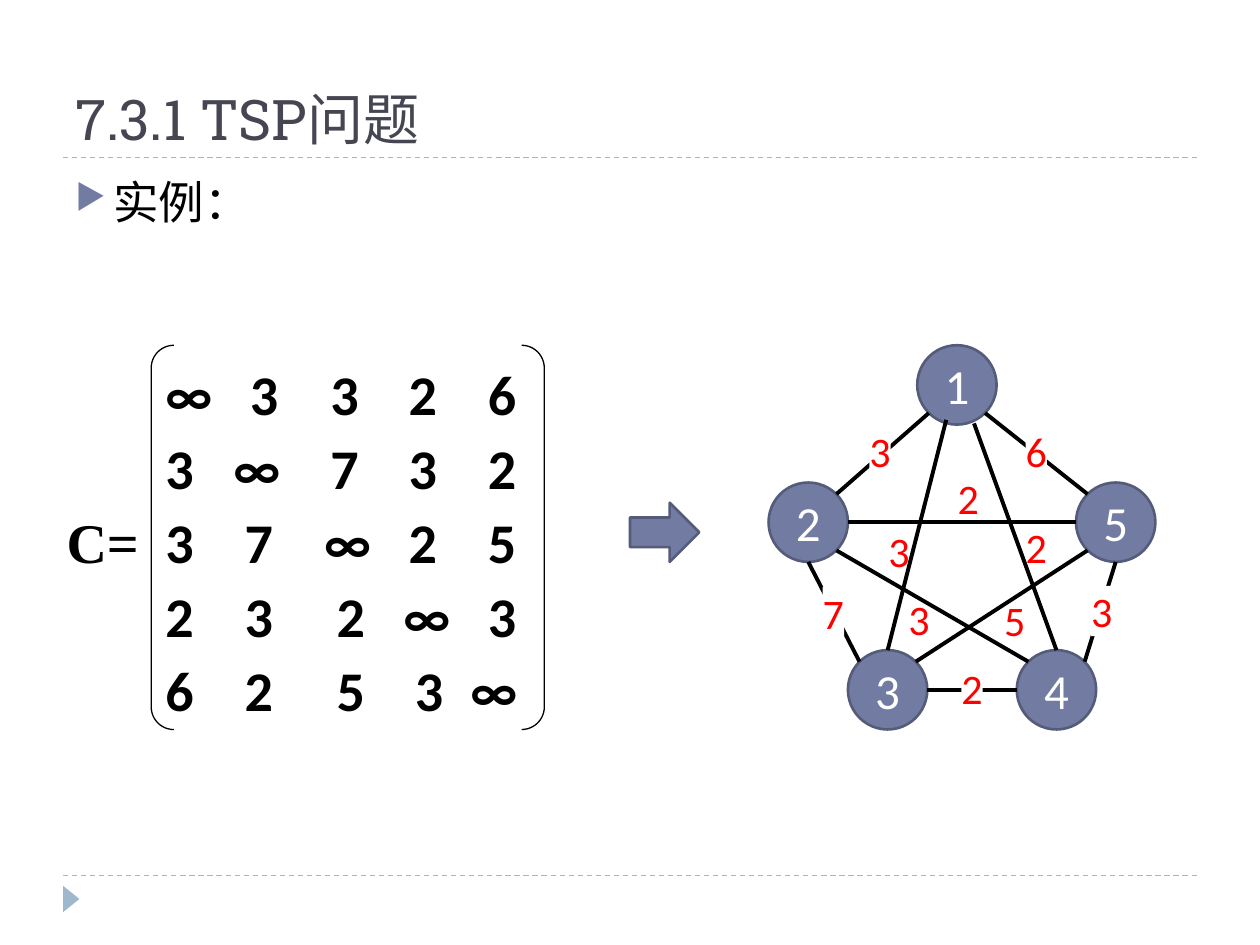
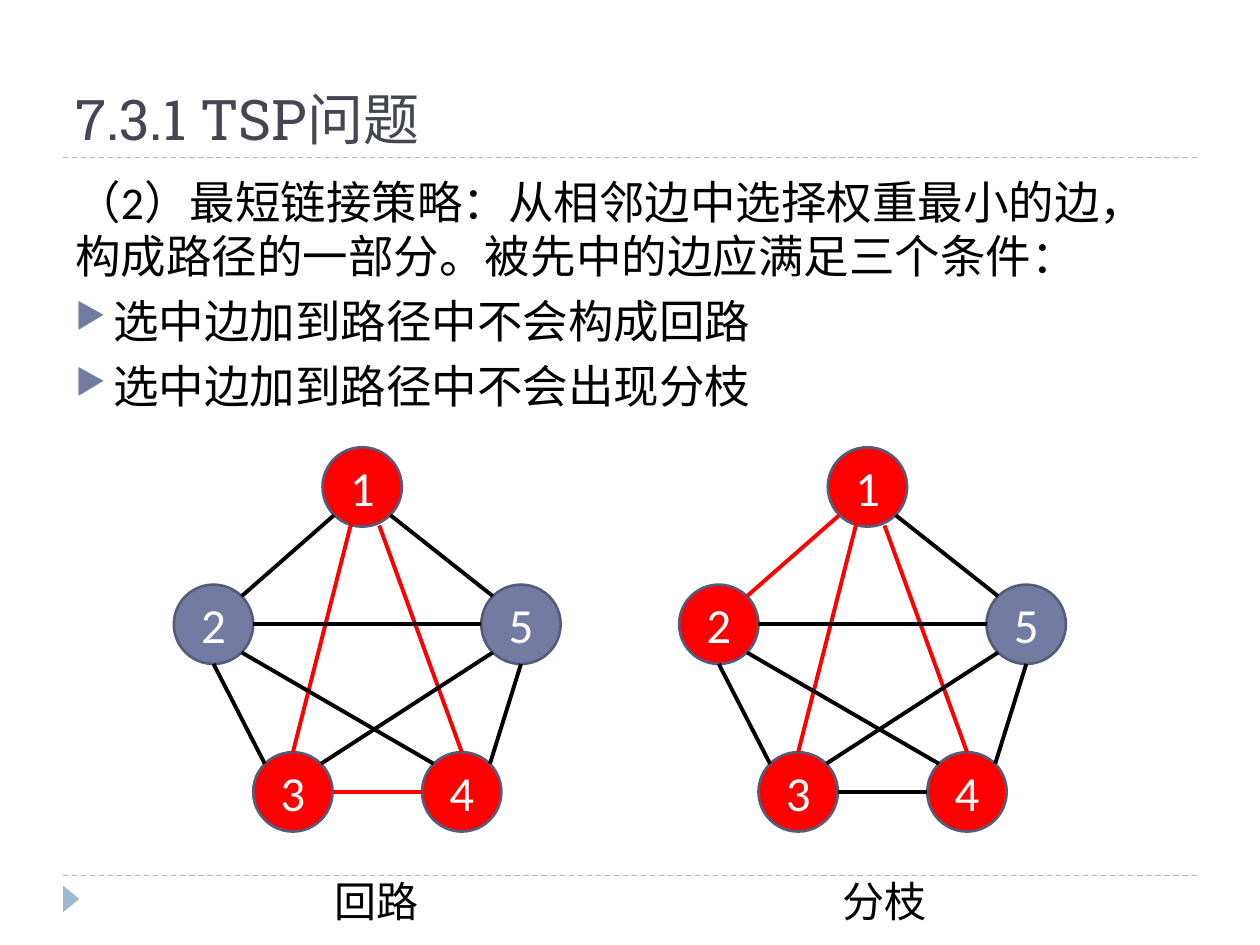
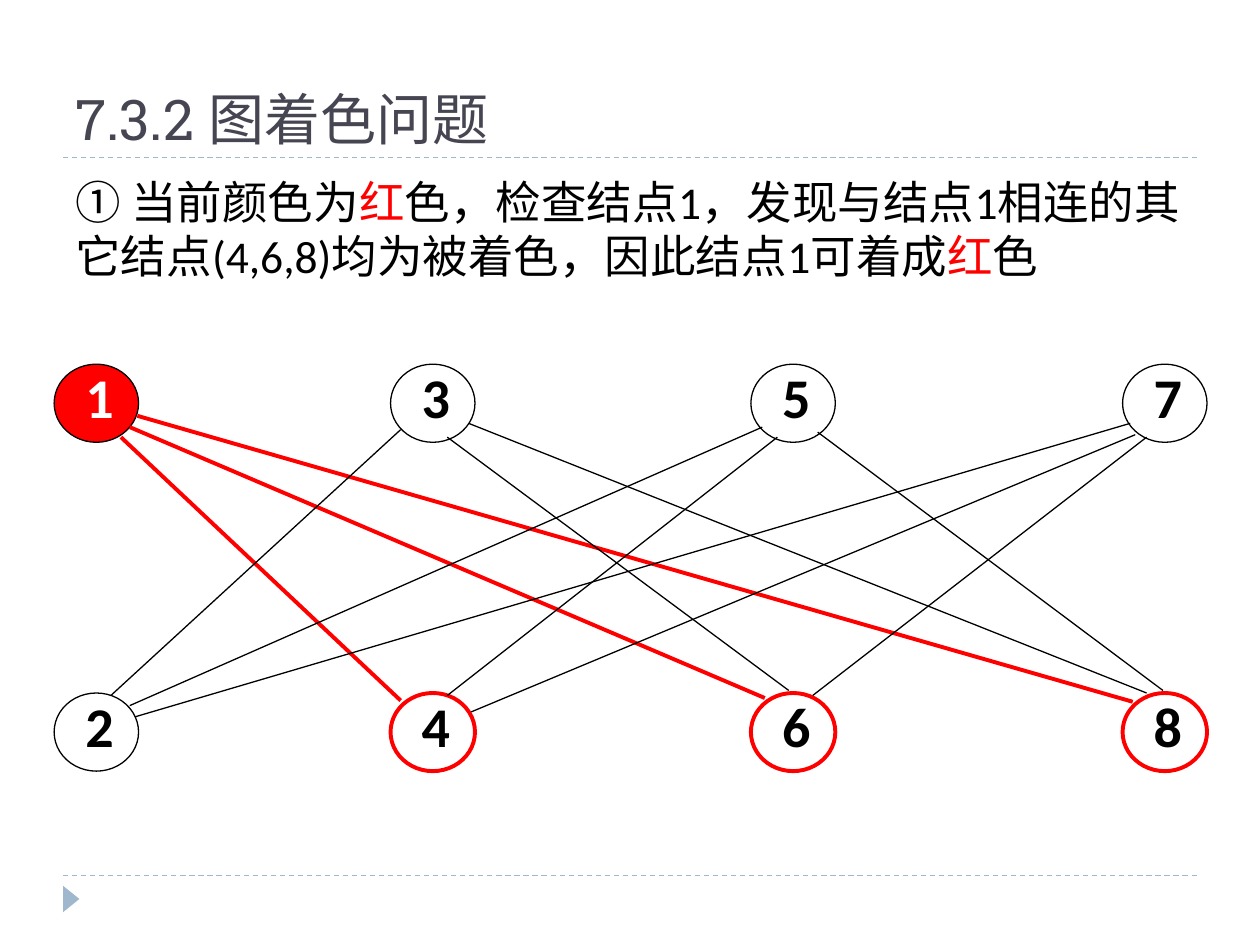
from lxml.etree import SubElement
from pptx import Presentation
from pptx.dml.color import RGBColor
from pptx.enum.dml import MSO_LINE
from pptx.enum.shapes import MSO_CONNECTOR, MSO_SHAPE
from pptx.enum.text import MSO_ANCHOR as ANCHOR, PP_ALIGN as ALIGN
from pptx.oxml.ns import qn
from pptx.util import Inches, Pt

# Shared style
BLACK, WHITE, RED = "000000", "FFFFFF", "FF0000"
SLATE, SLATE_DARK, PALE_BLUE, TITLE_INK = "727CA3", "545C79", "9FB8CD", "464653"
BODY_FONT, TITLE_FONT, SERIF_FONT = "Calibri", "Roboto Slab", "Times New Roman"
DEFAULT_INSETS = (0.1, 0.05, 0.1, 0.05)

# Five-node graph: node offsets, and edges as (node, direction, node, direction)
NODE_SIZE = 0.63
DIAGONAL = 0.71
TOP, BOTTOM, LEFT, RIGHT = (0, -1), (0, 1), (-1, 0), (1, 0)
UP_LEFT, UP_RIGHT = (-DIAGONAL, -DIAGONAL), (DIAGONAL, -DIAGONAL)
DOWN_LEFT, DOWN_RIGHT = (-DIAGONAL, DIAGONAL), (DIAGONAL, DIAGONAL)
NODES = {1: (1.18, 0), 5: (2.44, 1.09), 2: (0, 1.09), 3: (0.63, 2.42), 4: (1.97, 2.42)}
EDGES = [
    (1, DOWN_LEFT, 2, UP_RIGHT),
    (1, (-0.27, 0.88), 3, TOP),
    (1, (0.43, 0.97), 4, TOP),
    (1, DOWN_RIGHT, 5, UP_LEFT),
    (2, BOTTOM, 3, UP_LEFT),
    (2, DOWN_RIGHT, 4, UP_LEFT),
    (2, RIGHT, 5, LEFT),
    (3, RIGHT, 4, LEFT),
    (3, UP_RIGHT, 5, DOWN_LEFT),
    (4, UP_RIGHT, 5, BOTTOM),
]


def color(hex_string):
    return RGBColor.from_string(hex_string)


class Deck:
    """Holds the presentation, its style and the current slide."""

    def __init__(self):
        self.presentation = Presentation()
        self.presentation.slide_width = Inches(10)
        self.presentation.slide_height = Inches(7.5)
        self.slide = None

    def start_slide(self, title):
        layout = self.presentation.slide_layouts[6]
        self.slide = self.presentation.slides.add_slide(layout)
        for y in (6.95, 1.25):
            self.line((0.5, y), (9.5, y), PALE_BLUE, 0.75, dashed=True)
        marker = self.shape(MSO_SHAPE.ISOSCELES_TRIANGLE, (0.46, 7.07, 0.21, 0.13), PALE_BLUE)
        marker.rotation = 90
        frame = self.text_box((0.5, 0.17, 9, 1.08), anchor=ANCHOR.BOTTOM)
        self.add_text(frame, [(title, TITLE_INK)], 32, font=TITLE_FONT)

    def shape(self, kind, box, fill=None, outline=None, width=0.75):
        shape = self.slide.shapes.add_shape(kind, *map(Inches, box))
        shape.shadow.inherit = False
        if fill:
            shape.fill.solid()
            shape.fill.fore_color.rgb = color(fill)
        else:
            shape.fill.background()
        if outline:
            shape.line.color.rgb = color(outline)
            shape.line.width = Pt(width)
        else:
            shape.line.fill.background()
        return shape

    def line(self, start, end, ink=BLACK, width=2.25, dashed=False):
        points = map(Inches, (*start, *end))
        connector = self.slide.shapes.add_connector(MSO_CONNECTOR.STRAIGHT, *points)
        connector.line.color.rgb = color(ink)
        connector.line.width = Pt(width)
        if dashed:
            connector.line.dash_style = MSO_LINE.DASH
        SubElement(connector._element.spPr, qn("a:effectLst"))

    def set_frame(self, shape, insets=DEFAULT_INSETS, anchor=ANCHOR.TOP, wrap=True):
        frame = shape.text_frame
        frame.margin_left, frame.margin_top, frame.margin_right, frame.margin_bottom = map(
            Inches, insets)
        frame.vertical_anchor = anchor
        frame.word_wrap = wrap
        return frame

    def text_box(self, box, **settings):
        return self.set_frame(self.slide.shapes.add_textbox(*map(Inches, box)), **settings)

    def add_text(self, frame, runs, size, font=BODY_FONT, bold=False, align=ALIGN.LEFT):
        """Fill the empty first paragraph, or add one, run by run."""
        paragraph = frame.paragraphs[0]
        if paragraph.runs:
            paragraph = frame.add_paragraph()
        paragraph.alignment = align
        for text, ink in runs:
            run = paragraph.add_run()
            run.text = text
            run.font.size = Pt(size)
            run.font.name = font
            run.font.bold = bold
            run.font.color.rgb = color(ink)
        return paragraph

    def body(self, *items):
        """Each item is (runs, bulleted)."""
        frame = self.text_box((0.5, 1.33, 9, 5.4))
        for index, (runs, bulleted) in enumerate(items):
            paragraph = self.add_text(frame, runs, 26)
            if index:
                paragraph.space_before = Pt(6)
            if bulleted:
                self.bullet(paragraph)

    def bullet(self, paragraph):
        properties = paragraph._p.get_or_add_pPr()
        properties.set("marL", str(Inches(0.3)))
        properties.set("indent", str(Inches(-0.3)))
        bullet_color = SubElement(properties, qn("a:buClr"))
        SubElement(bullet_color, qn("a:srgbClr"), val=SLATE)
        SubElement(properties, qn("a:buSzPct"), val="76000")
        SubElement(properties, qn("a:buChar"), char="▶")

    def tab_stops(self, paragraph, stops):
        tab_list = SubElement(paragraph._p.get_or_add_pPr(), qn("a:tabLst"))
        for stop in stops:
            SubElement(tab_list, qn("a:tab"), pos=str(Inches(stop)), algn="l")

    def graph(self, left, top, red_nodes=(), red_edges=()):
        radius = NODE_SIZE / 2
        for number, (x, y) in NODES.items():
            fill = RED if number in red_nodes else SLATE
            node = self.shape(MSO_SHAPE.OVAL, (left + x, top + y, NODE_SIZE, NODE_SIZE),
                              fill, SLATE_DARK, 1.5)
            frame = self.set_frame(node, anchor=ANCHOR.MIDDLE)
            self.add_text(frame, [(str(number), WHITE)], 28, align=ALIGN.CENTER)

        def rim(number, direction):
            x, y = NODES[number]
            return (left + x + radius * (1 + direction[0]),
                    top + y + radius * (1 + direction[1]))

        for first, leaving, second, arriving in EDGES:
            ink = RED if (first, second) in red_edges else BLACK
            self.line(rim(first, leaving), rim(second, arriving), ink)

    def weight(self, text, x, y, masked):
        """Edge weight; a masked one hides the edge behind it."""
        box = (x, y, 0.17, 0.4)
        settings = dict(insets=(0, 0, 0, 0), wrap=False)
        if masked:
            frame = self.set_frame(self.shape(MSO_SHAPE.RECTANGLE, box, WHITE), **settings)
        else:
            frame = self.text_box(box, **settings)
        self.add_text(frame, [(text, RED)], 24)

    def vertex(self, text, x, y, fill=None, ink=BLACK, outline=BLACK, width=0.75):
        oval = self.shape(MSO_SHAPE.OVAL, (x, y, 0.67, 0.62), fill, outline, width)
        frame = self.set_frame(oval, insets=(0.05, 0, 0, 0))
        paragraph = self.add_text(frame, [(text, ink)], 32, bold=True, align=ALIGN.CENTER)
        paragraph.line_spacing = 0.8


def build_example(deck):
    deck.start_slide("7.3.1 TSP问题")
    deck.body(([("实例：", BLACK)], True))

    # Cost matrix
    frame = deck.text_box((0.43, 3.98, 0.9, 0.6), wrap=False)
    deck.add_text(frame, [("C=", BLACK)], 32, font=SERIF_FONT, bold=True)
    bracket = deck.shape(MSO_SHAPE.DOUBLE_BRACKET, (1.2, 2.74, 3.12, 3.05), outline=BLACK)
    bracket.adjustments[0] = 0.059
    frame = deck.set_frame(bracket, insets=(0.06, 0.01, 0.06, 0))
    rows = [
        ("∞3326", (0.67, 1.31, 1.93, 2.56)),
        ("3∞732", (0.54, 1.31, 1.93, 2.56)),
        ("37∞25", (0.63, 1.26, 1.93, 2.56)),
        ("232∞3", (0.63, 1.36, 1.89, 2.56)),
        ("6253∞", (0.63, 1.36, 1.98, 2.42)),
    ]
    for costs, stops in rows:
        paragraph = deck.add_text(frame, [("\t".join(costs), BLACK)], 32, bold=True)
        deck.tab_stops(paragraph, stops)
        paragraph.line_spacing = 1.1

    # Weighted graph
    deck.shape(MSO_SHAPE.RIGHT_ARROW, (5, 3.99, 0.55, 0.47), SLATE, SLATE_DARK, 1.5)
    deck.graph(6.1, 2.74)
    weights = [
        ("3", 6.9, 3.38, True), ("3", 7.05, 4.17, False), ("2", 8.14, 4.14, False),
        ("6", 8.14, 3.38, True), ("7", 6.53, 4.66, True), ("3", 7.21, 4.71, False),
        ("2", 7.6, 3.75, False), ("2", 7.63, 5.26, True), ("5", 7.97, 4.72, False),
        ("3", 8.66, 4.65, True),
    ]
    for weight in weights:
        deck.weight(*weight)


def build_shortest_link(deck):
    deck.start_slide("7.3.1 TSP问题")
    deck.body(
        ([("（2）最短链接策略：从相邻边中选择权重最小的边，构成路径的一部分。"
           "被先中的边应满足三个条件：", BLACK)], False),
        ([("选中边加到路径中不会构成回路", BLACK)], True),
        ([("选中边加到路径中不会出现分枝", BLACK)], True),
    )
    # Forbidden cases: a cycle and a branch
    deck.graph(1.38, 3.55, {1, 3, 4}, {(1, 3), (1, 4), (3, 4)})
    deck.graph(5.39, 3.55, {1, 2, 3, 4}, {(1, 2), (1, 3), (1, 4)})
    for caption, x in (("回路", 2.56), ("分枝", 6.59)):
        frame = deck.text_box((x, 6.9, 0.88, 0.5), wrap=False)
        deck.add_text(frame, [(caption, BLACK)], 24)


def build_coloring(deck):
    deck.start_slide("7.3.2 图着色问题")
    deck.body(([
        ("① 当前颜色为", BLACK), ("红", RED),
        ("色，检查结点1，发现与结点1相连的其它结点(4,6,8)均为被着色，因此结点1可着成", BLACK),
        ("红", RED), ("色", BLACK),
    ], False))

    # Odd vertices above, even vertices below
    red_outline = dict(outline=RED, width=2.25)
    styles = {1: dict(fill=RED, ink=WHITE), 4: red_outline, 6: red_outline, 8: red_outline}
    for column, x in enumerate((0.43, 3.1, 5.96, 8.91)):
        for row, y in enumerate((2.89, 5.5)):
            number = 2 * column + row + 1
            deck.vertex(str(number), x, y, **styles.get(number, {}))

    # Edges of vertex 1, then all others
    red_edges = [
        ((0.96, 3.47), (3.18, 5.56)),
        ((1.03, 3.39), (6.07, 5.54)),
        ((1.09, 3.3), (8.99, 5.57)),
    ]
    black_edges = [
        ((3.18, 3.41), (0.88, 5.52)),
        ((3.55, 3.47), (6.26, 5.48)),
        ((3.72, 3.36), (9.1, 5.5)),
        ((1.03, 5.6), (6.05, 3.39)),
        ((1.07, 5.69), (8.97, 3.36)),
        ((6.17, 3.47), (3.55, 5.52)),
        ((6.49, 3.43), (9.23, 5.48)),
        ((9.1, 3.47), (6.45, 5.52)),
        ((9.01, 3.45), (3.74, 5.65)),
    ]
    for edges, ink, width in ((red_edges, RED, 2.25), (black_edges, BLACK, 0.75)):
        for start, end in edges:
            deck.line(start, end, ink, width)


def main():
    deck = Deck()
    build_example(deck)
    build_shortest_link(deck)
    build_coloring(deck)
    deck.presentation.save("out.pptx")


if __name__ == "__main__":
    main()
